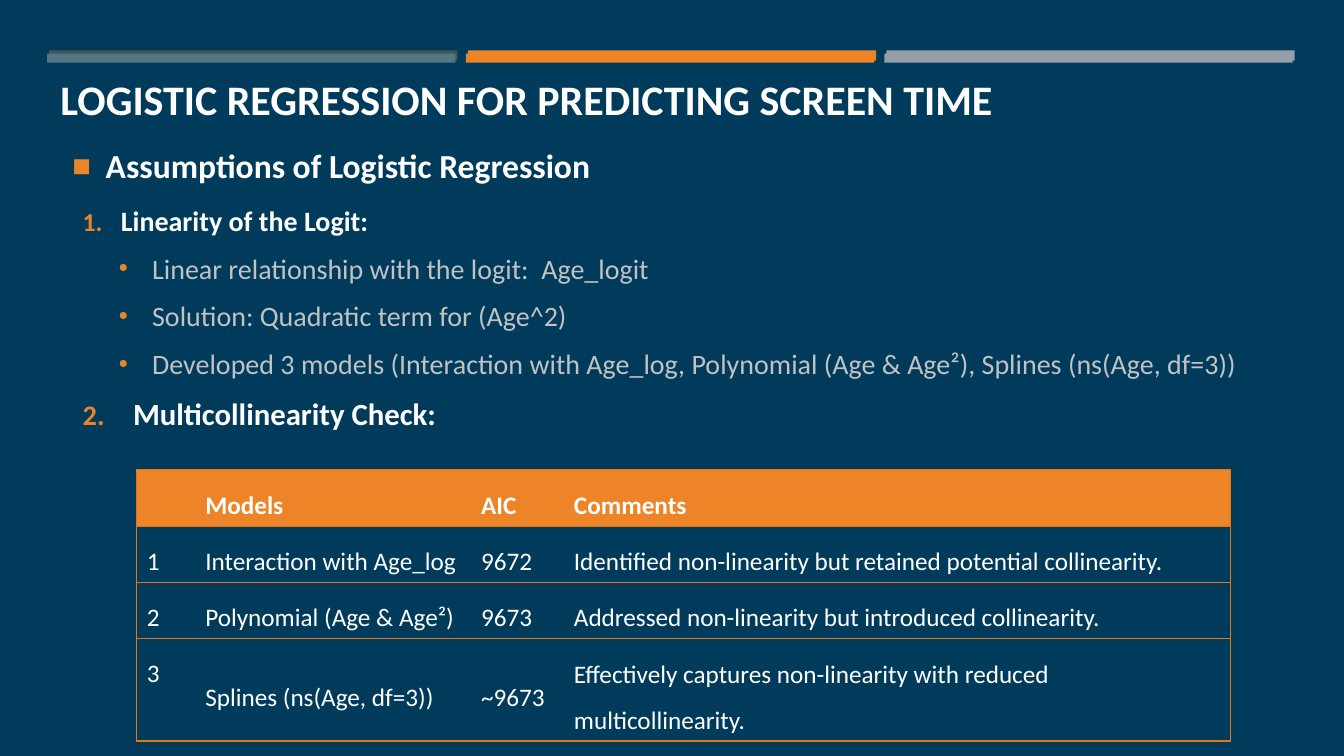
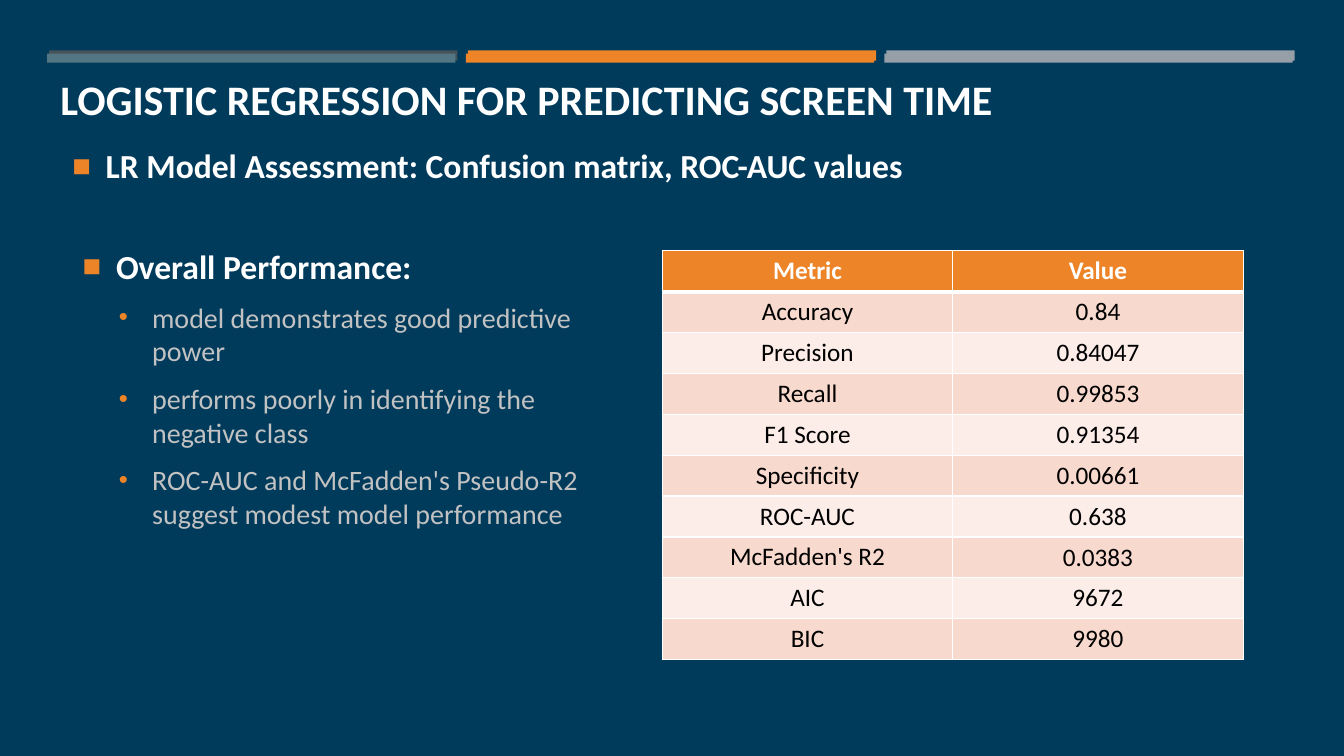
from lxml import etree
from pptx import Presentation
from pptx.dml.color import RGBColor
from pptx.enum import shapes, text
from pptx.oxml import ns
from pptx.util import Cm, Pt

WHITE, BLACK, GREY = "FFFFFF", "000000", "C2C2C2"
NAVY, ORANGE, RUST = "003B5C", "ED8428", "E67613"
SLATE, TEAL, STEEL = "465359", "537685", "969FA7"
ROSE, BLUSH = "F8D9CD", "FCEDE8"
TITLE = "LOGISTIC REGRESSION FOR PREDICTING SCREEN TIME"


def shade(code):
    return RGBColor.from_string(code)


def child(node, tag, **attrs):
    return etree.SubElement(node, ns.qn("a:" + tag), **attrs)


class Deck:
    """Hold the shared style and the current slide."""

    font = "Calibri"
    styles = {
        "head": dict(sign="■", size=24, ink=WHITE, bold=True, left=0.84, hang=0.84),
        "first": dict(sign="1", size=20, ink=WHITE, bold=True, left=0.96, hang=0.96),
        "next": dict(sign="2", size=22, ink=WHITE, bold=True, left=1.27, hang=1.27),
        "point": dict(sign="•", size=20, ink=GREY, bold=False, left=1.75, hang=0.84, level=1),
    }

    def __init__(self):
        self.show = Presentation()
        self.show.slide_width, self.show.slide_height = Cm(33.87), Cm(19.05)
        fill = self.show.slide_master.background.fill
        fill.solid()
        fill.fore_color.rgb = shade(NAVY)

    def page(self, title):
        self.slide = self.show.slides.add_slide(self.show.slide_layouts[3])
        for left, top, high, inks in (
            (1.24, 1.27, 0.26, (SLATE, ORANGE, STEEL)),
            (1.19, 1.35, 0.23, (TEAL, ORANGE, STEEL)),
        ):
            for n, ink in enumerate(inks):
                self.bar((left + 10.55 * n, top, 10.29, high), ink)
        frame = self.place(0, (1.27, 1.45, 31.47, 1.8), text.MSO_ANCHOR.BOTTOM)
        line = frame.paragraphs[0]
        line.alignment = text.PP_ALIGN.LEFT
        self.words(line, title, 30, WHITE, True)

    def bar(self, box, ink):
        bar = self.slide.shapes.add_shape(shapes.MSO_SHAPE.RECTANGLE, *map(Cm, box))
        bar.shadow.inherit = False
        bar.fill.solid()
        bar.fill.fore_color.rgb = shade(ink)
        bar.line.fill.background()

    def place(self, key, box, anchor):
        holder = self.slide.placeholders[key]
        holder.left, holder.top, holder.width, holder.height = map(Cm, box)
        frame = holder.text_frame
        frame.word_wrap = True
        frame.auto_size = text.MSO_AUTO_SIZE.NONE
        frame.vertical_anchor = anchor
        return frame

    def words(self, line, words, size, ink, bold):
        run = line.add_run()
        run.text = words
        run.font.name, run.font.size, run.font.bold = self.font, Pt(size), bold
        run.font.color.rgb = shade(ink)

    def items(self, key, box, items):
        frame = self.place(key, box, text.MSO_ANCHOR.TOP)
        for n, (kind, words) in enumerate(items):
            line = frame.add_paragraph() if n else frame.paragraphs[0]
            style = self.styles[kind]
            line.level = style.get("level", 0)
            line.space_after = Pt(6)
            self.mark(line, style)
            self.words(line, words, style["size"], style["ink"], style["bold"])

    def mark(self, line, style):
        props = line._p.get_or_add_pPr()
        props.set("marL", str(Cm(style["left"])))
        props.set("indent", str(-Cm(style["hang"])))
        child(child(props, "buClr"), "srgbClr", val=ORANGE)
        child(props, "buSzPct", val="92000")
        sign = style["sign"]
        if sign.isdigit():
            child(props, "buFont", typeface=self.font)
            child(props, "buAutoNum", type="arabicPeriod", startAt=sign)
        else:
            child(props, "buFont", typeface="Arial")
            child(props, "buChar", char=sign)

    def edge(self, cell, side, ink, width=1):
        line = child(cell._tc.get_or_add_tcPr(), "ln" + side, w=str(Pt(width)))
        if ink:
            child(child(line, "solidFill"), "srgbClr", val=ink)
        else:
            child(line, "noFill")

    def grid(self, spot, widths, high, rows, ink, rim, fills=None, inner=None,
             align=text.PP_ALIGN.LEFT, gap=1, rule=1):
        size = sum(widths), high * len(rows)
        table = self.slide.shapes.add_table(
            len(rows), len(widths), *map(Cm, spot + size)).table
        for n, width in enumerate(widths):
            table.columns[n].width = Cm(width)
        last = len(widths) - 1
        for r, row in enumerate(rows):
            for c, words in enumerate(row):
                cell = table.cell(r, c)
                self.edge(cell, "L", inner if c else rim)
                self.edge(cell, "R", inner if c < last else rim)
                self.edge(cell, "T", rim, rule if r == 1 else 1)
                self.edge(cell, "B", rim, rule if r == 0 else 1)
                fill = ORANGE if r == 0 else fills and fills[(r - 1) % len(fills)]
                if fill:
                    cell.fill.solid()
                    cell.fill.fore_color.rgb = shade(fill)
                else:
                    cell.fill.background()
                anchor = text.MSO_ANCHOR
                cell.vertical_anchor = anchor.MIDDLE if c else anchor.TOP
                line = cell.text_frame.paragraphs[0]
                line.alignment, line.line_spacing = align, gap
                if words:
                    self.words(line, words, 18, ink if r else WHITE, r == 0)


def main():
    deck = Deck()

    deck.page(TITLE)
    deck.items(1, (1.57, 3.53, 16.66, 1.63), [("head", "Assumptions of Logistic Regression")])
    deck.items(2, (1.83, 5, 29.8, 13.44), [
        ("first", "Linearity of the Logit:"),
        ("point", "Linear relationship with the logit:  Age_logit"),
        ("point", "Solution: Quadratic term for (Age^2)"),
        ("point", "Developed 3 models (Interaction with Age_log, Polynomial (Age & Age²), "
                  "Splines (ns(Age, df=3))"),
        ("next", "Multicollinearity Check:"),
    ])
    deck.grid((3.45, 11.84), (1.47, 6.95, 2.34, 16.79), 1.04, [
        ("", "Models", "AIC", "Comments"),
        ("1", "Interaction with Age_log", "9672",
         "Identified non-linearity but retained potential collinearity."),
        ("2", "Polynomial (Age & Age²)", "9673",
         "Addressed non-linearity but introduced collinearity."),
        ("3", "Splines (ns(Age, df=3))", "~9673",
         "Effectively captures non-linearity with reduced multicollinearity."),
    ], WHITE, RUST, gap=1.5)

    deck.page(TITLE)
    deck.items(1, (1.57, 3.53, 25.17, 1.63), [
        ("head", "LR Model Assessment: Confusion matrix, ROC-AUC values"),
    ])
    deck.items(2, (1.83, 6.07, 13.34, 8.74), [
        ("head", "Overall Performance:"),
        ("point", "model demonstrates good predictive power"),
        ("point", "performs poorly in identifying the negative class"),
        ("point", "ROC-AUC and McFadden's Pseudo-R2 suggest modest model performance"),
    ])
    deck.grid((16.69, 6.32), (7.32, 7.32), 1.03, [
        ("Metric", "Value"),
        ("Accuracy", "0.84"),
        ("Precision", "0.84047"),
        ("Recall", "0.99853"),
        ("F1 Score", "0.91354"),
        ("Specificity", "0.00661"),
        ("ROC-AUC", "0.638"),
        ("McFadden's R2", "0.0383"),
        ("AIC", "9672"),
        ("BIC", "9980"),
    ], BLACK, WHITE, (ROSE, BLUSH), WHITE, text.PP_ALIGN.CENTER, rule=3)

    deck.show.save("out.pptx")


if __name__ == "__main__":
    main()
